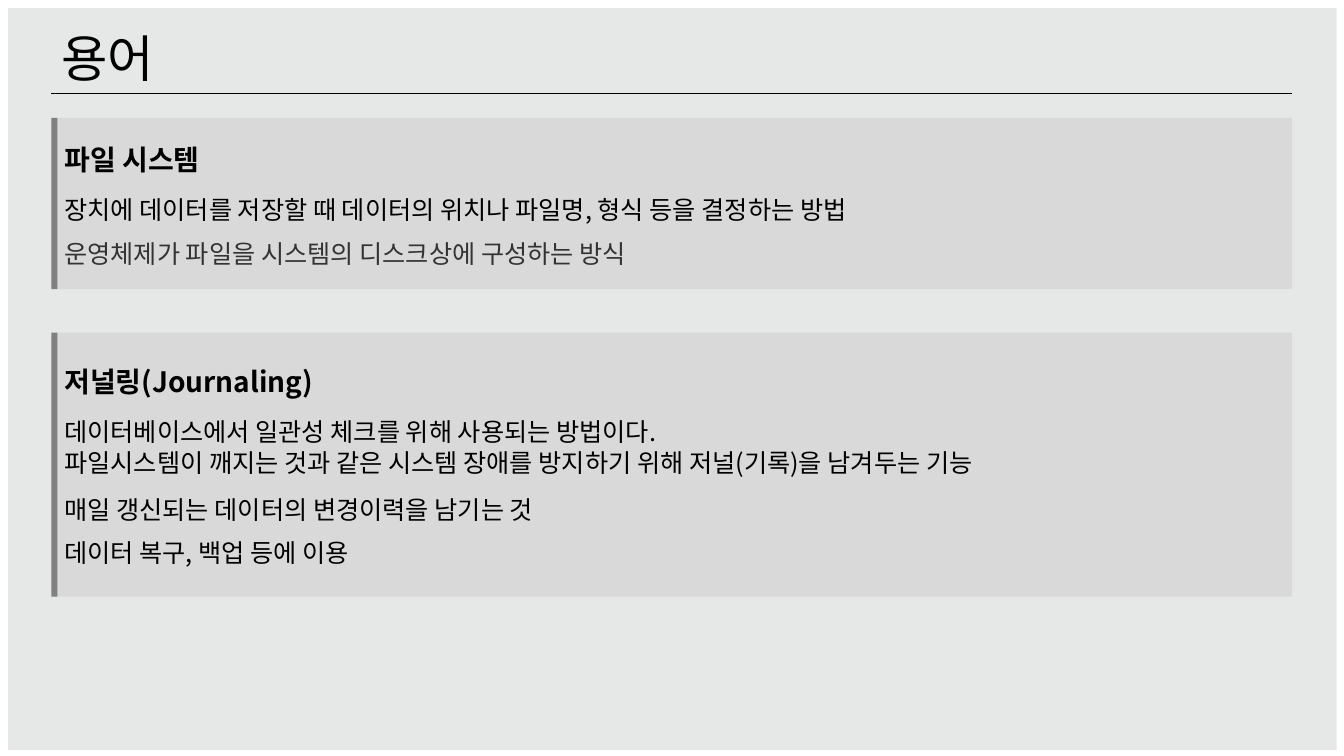
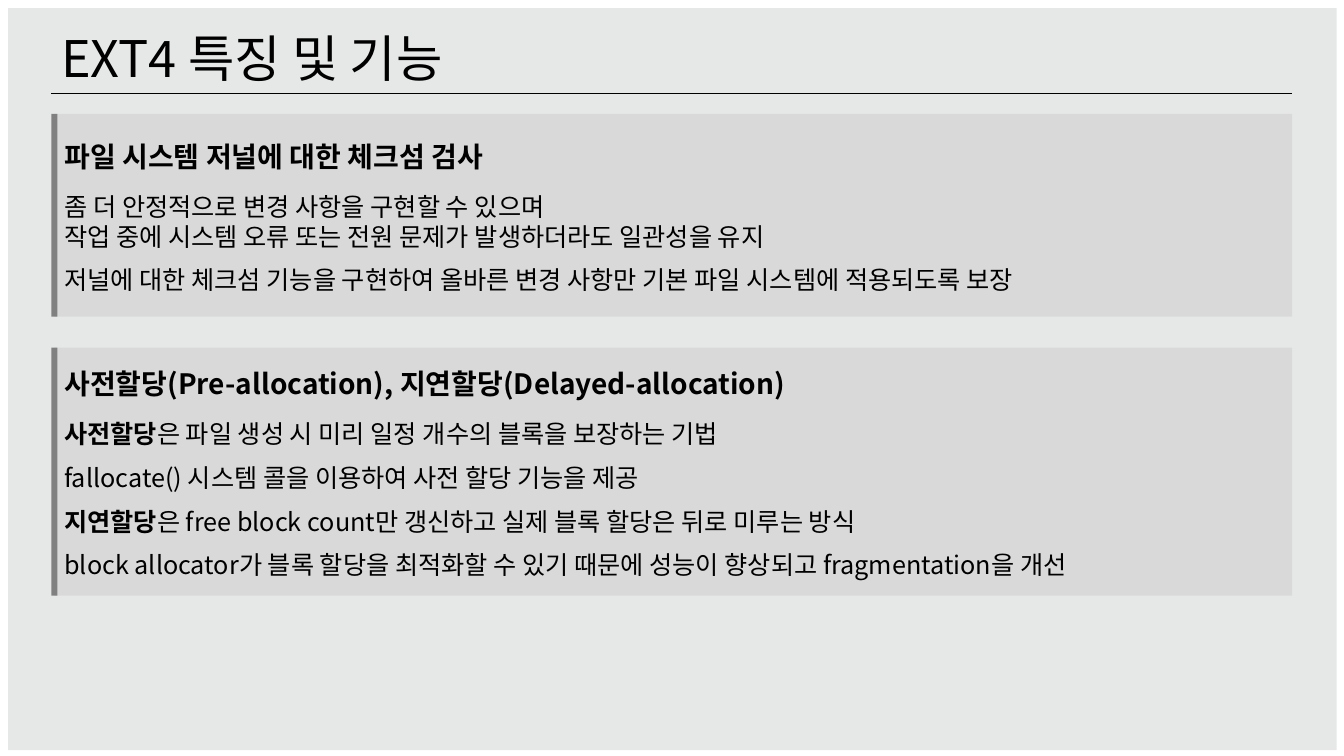
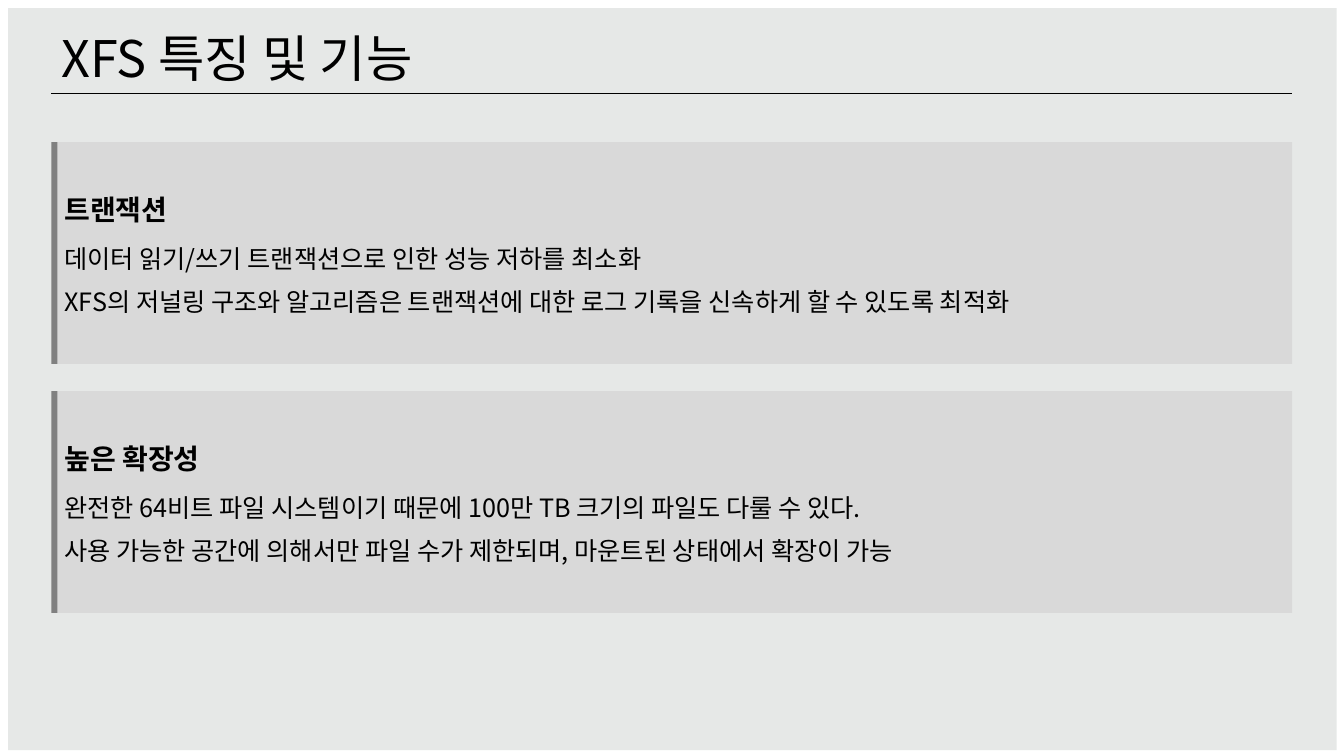
"""Build three slides on file system terms, EXT4 and XFS."""
from lxml import etree
from pptx import Presentation
from pptx.dml.color import RGBColor
from pptx.enum.shapes import MSO_CONNECTOR, MSO_SHAPE
from pptx.enum.text import MSO_ANCHOR, PP_ALIGN
from pptx.oxml.ns import qn
from pptx.util import Pt

RECT, STRAIGHT = MSO_SHAPE.RECTANGLE, MSO_CONNECTOR.STRAIGHT
MIDDLE, LEFT = MSO_ANCHOR.MIDDLE, PP_ALIGN.LEFT
FONT = "Noto Sans CJK KR"
COLORS = {"panel": "E6E8E7", "card": "D9D9D9", "accent": "808080",
          "text": "000000", "muted": "333333"}
EDGE, CARD_LEFT, RIGHT = 36.7, 38.9, 923
TITLE_SIZE, HEADING_SIZE, BODY_SIZE = 36, 20, 18
LINE_RATIO = 1.2
WIDE, MEDIUM, SMALL, NONE = 13, 12, 9.6, 0

SLIDES = [
    ("용어", 87.1, [
        (84.2, 122.4, "파일 시스템", [
            (WIDE, [("장치에 데이터를 저장할 때 데이터의 위치나 파일명, 형식 등을 결정하는 방법", False, "text")]),
            (SMALL, [("운영체제가 파일을 시스템의 디스크상에 구성하는 방식", False, "muted")]),
        ]),
        (237.6, 188.6, "저널링(Journaling)", [
            (WIDE, [("데이터베이스에서 일관성 체크를 위해 사용되는 방법이다.", False, "text")]),
            (NONE, [("파일시스템이 깨지는 것과 같은 시스템 장애를 방지하기 위해 저널(기록)을 남겨두는 기능", False, "text")]),
            (MEDIUM, [("매일 갱신되는 데이터의 변경이력을 남기는 것", False, "text")]),
            (SMALL, [("데이터 복구, 백업 등에 이용", False, "text")]),
        ]),
    ]),
    ("EXT4 특징 및 기능", 315.4, [
        (81.4, 144.7, "파일 시스템 저널에 대한 체크섬 검사", [
            (WIDE, [("좀 더 안정적으로 변경 사항을 구현할 수 있으며", False, "text")]),
            (NONE, [("작업 중에 시스템 오류 또는 전원 문제가 발생하더라도 일관성을 유지", False, "text")]),
            (SMALL, [("저널에 대한 체크섬 기능을 구현하여 올바른 변경 사항만 기본 파일 시스템에 적용되도록 보장", False, "text")]),
        ]),
        (248.4, 177.1, "사전할당(Pre-allocation), 지연할당(Delayed-allocation)", [
            (WIDE, [("사전할당", True, "text"),
                    ("은 파일 생성 시 미리 일정 개수의 블록을 보장하는 기법", False, "text")]),
            (SMALL, [("fallocate() 시스템 콜을 이용하여 사전 할당 기능을 제공", False, "text")]),
            (SMALL, [("지연할당", True, "text"),
                     ("은 free block count만 갱신하고 실제 블록 할당은 뒤로 미루는 방식", False, "text")]),
            (SMALL, [("block allocator가 블록 할당을 최적화할 수 있기 때문에 성능이 향상되고 fragmentation을 개선", False, "text")]),
        ]),
    ]),
    ("XFS 특징 및 기능", 293.8, [
        (101.5, 158.4, "트랜잭션", [
            (MEDIUM, [("데이터 읽기/쓰기 트랜잭션으로 인한 성능 저하를 최소화", False, "text")]),
            (SMALL, [("XFS의 저널링 구조와 알고리즘은 트랜잭션에 대한 로그 기록을 신속하게 할 수 있도록 최적화", False, "text")]),
        ]),
        (279.4, 158.4, "높은 확장성", [
            (MEDIUM, [("완전한 64비트 파일 시스템이기 때문에 100만 TB 크기의 파일도 다룰 수 있다.", False, "text")]),
            (SMALL, [("사용 가능한 공간에 의해서만 파일 수가 제한되며, 마운트된 상태에서 확장이 가능", False, "text")]),
        ]),
    ]),
]


def add_box(shapes, left, top, width, height, color):
    sp = shapes.add_shape(RECT, Pt(left), Pt(top), Pt(width), Pt(height))
    sp.shadow.inherit = False
    sp.fill.solid()
    sp.fill.fore_color.rgb = RGBColor.from_string(COLORS[color])
    sp.line.fill.background()
    return sp


def write_paragraph(p, size, gap, runs):
    p.alignment = LEFT
    p.line_spacing = Pt(size * LINE_RATIO)
    p.space_before = Pt(gap)
    for text, bold, color in runs:
        r = p.add_run()
        r.text = text
        r.font.size = Pt(size)
        r.font.bold = bold
        r.font.name = FONT
        r.font.color.rgb = RGBColor.from_string(COLORS[color])
        etree.SubElement(r.font._element, qn("a:ea"), typeface=FONT)


prs = Presentation()
prs.slide_width, prs.slide_height = Pt(960), Pt(540)

for title, title_width, cards in SLIDES:
    s = prs.slides.add_slide(prs.slide_layouts[6])
    add_box(s.shapes, 5.76, 5.76, 949, 530, "panel")

    tf = s.shapes.add_textbox(Pt(EDGE), Pt(13.7), Pt(title_width), Pt(51.1)).text_frame
    tf.word_wrap = False
    tf.margin_top = Pt(6)
    write_paragraph(tf.paragraphs[0], TITLE_SIZE, NONE, [(title, False, "text")])

    rule = s.shapes.add_connector(STRAIGHT, Pt(EDGE), Pt(67), Pt(RIGHT), Pt(67))
    rule.line.color.rgb = RGBColor.from_string(COLORS["text"])
    rule.line.width = Pt(0.5)
    etree.SubElement(rule._element.spPr, qn("a:effectLst"))

    for top, height, heading, lines in cards:
        group = s.shapes.add_group_shape()
        card = add_box(group.shapes, CARD_LEFT, top, RIGHT - CARD_LEFT, height, "card")
        add_box(group.shapes, EDGE, top, 4.3, height, "accent")
        tf = card.text_frame
        tf.word_wrap = True
        tf.vertical_anchor = MIDDLE
        tf.margin_top = Pt(6)
        write_paragraph(tf.paragraphs[0], HEADING_SIZE, NONE, [(heading, True, "text")])
        for gap, runs in lines:
            write_paragraph(tf.add_paragraph(), BODY_SIZE, gap, runs)

prs.save("out.pptx")
